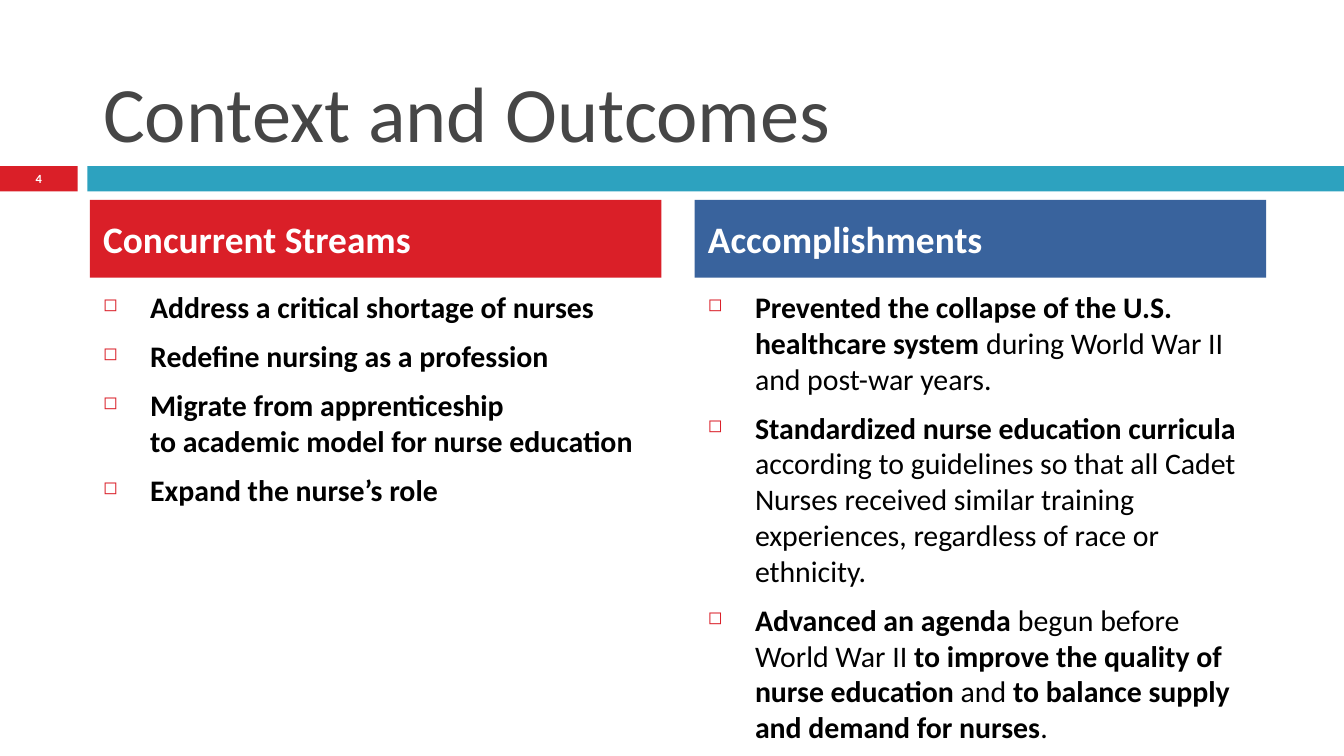
from copy import deepcopy

from lxml.etree import SubElement
from pptx import Presentation
from pptx.dml.color import RGBColor
from pptx.enum.shapes import MSO_SHAPE
from pptx.enum.text import MSO_ANCHOR, PP_ALIGN
from pptx.oxml.ns import qn
from pptx.util import Cm, Pt

RED, TEAL, BLUE = "DA1F28", "2DA2BF", "39639D"
INSETS = {"margin_left": Cm(0.25), "margin_right": Cm(0.25),
          "margin_top": Cm(0.13), "margin_bottom": Cm(0.13), "word_wrap": True}
COLUMN_WIDTH = 10.8

# In each point, "|" switches between bold and regular, starting with bold.
columns = [
    (1.7, RED, "Concurrent Streams", [
        "Address a critical shortage of nurses",
        "Redefine nursing as a profession",
        "Migrate from apprenticeship \nto academic model for nurse education",
        "Expand the nurse’s role",
    ]),
    (13.13, BLUE, "Accomplishments", [
        "Prevented the collapse of the U.S. healthcare system "
        "|during World War II and post-war years.",
        "Standardized nurse education curricula \n|according to guidelines so that all "
        "Cadet Nurses received similar training experiences, regardless of race or ethnicity.",
        "Advanced an agenda |begun before World War II |to improve the quality of nurse "
        "education| and |to balance supply and demand for nurses|.",
    ]),
]


def write(paragraph, text, size, color, bold):
    """Add a formatted run, turning each newline into a line break of the same size."""
    for index, line in enumerate(text.split("\n")):
        if index:
            paragraph._p.add_br().append(deepcopy(run._r.rPr))
        if line:
            run = paragraph.add_run()
            run.text = line
            for name, value in {"name": "Calibri", "size": Pt(size), "bold": bold}.items():
                setattr(run.font, name, value)
            run.font.color.rgb = RGBColor.from_string(color)


def add_block(left, top, width, height, color):
    block = slide.shapes.add_shape(MSO_SHAPE.RECTANGLE, Cm(left), Cm(top), Cm(width), Cm(height))
    block.shadow.inherit = False
    block.fill.solid()
    block.fill.fore_color.rgb = RGBColor.from_string(color)
    block.line.fill.background()
    return block


presentation = Presentation()
presentation.slide_width, presentation.slide_height = Cm(25.4), Cm(14.29)
slide = presentation.slides.add_slide(presentation.slide_layouts[5])

# Title above the divider band
add_block(0, 3.14, 1.47, 0.48, RED)
add_block(1.65, 3.14, 23.75, 0.48, TEAL)

title = slide.shapes.title
title_place = {"left": Cm(1.7), "top": Cm(0.33), "width": Cm(22.66), "height": Cm(2.79)}
for name, value in title_place.items():
    setattr(title, name, value)
for name, value in {**INSETS, "vertical_anchor": MSO_ANCHOR.BOTTOM}.items():
    setattr(title.text_frame, name, value)
heading = title.text_frame.paragraphs[0]
heading.alignment = PP_ALIGN.LEFT
write(heading, "Context and Outcomes", 42, "464646", False)

page_number = slide.shapes.add_textbox(0, Cm(3.12), Cm(1.47), Cm(0.51)).text_frame
for name, value in {**INSETS, "margin_top": 0, "margin_bottom": 0,
                    "vertical_anchor": MSO_ANCHOR.MIDDLE}.items():
    setattr(page_number, name, value)
page_number.paragraphs[0].alignment = PP_ALIGN.CENTER
write(page_number.paragraphs[0], "4", 6.7, "FFFFFF", True)

# Two columns: coloured header and bulleted points
for left, color, header, points in columns:
    banner = add_block(left, 3.78, COLUMN_WIDTH, 1.47, color).text_frame
    for name, value in {**INSETS, "vertical_anchor": MSO_ANCHOR.MIDDLE}.items():
        setattr(banner, name, value)
    banner.paragraphs[0].alignment = PP_ALIGN.LEFT
    write(banner.paragraphs[0], header, 20, "FFFFFF", True)

    body = slide.shapes.add_textbox(Cm(left), Cm(5.33), Cm(COLUMN_WIDTH), Cm(7.32)).text_frame
    for name, value in INSETS.items():
        setattr(body, name, value)
    for index, point in enumerate(points):
        paragraph = body.add_paragraph() if index else body.paragraphs[0]
        if index:
            paragraph.space_before = Pt(7)
        properties = paragraph._p.get_or_add_pPr()
        properties.set("marL", str(Cm(0.89)))
        properties.set("indent", str(-Cm(0.89)))
        bullet_color = SubElement(properties, qn("a:buClr"))
        SubElement(bullet_color, qn("a:srgbClr"), val=RED)
        SubElement(properties, qn("a:buSzPct"), val="60000")
        SubElement(properties, qn("a:buChar"), char="◻")
        for part, text in enumerate(point.split("|")):
            write(paragraph, text, 16, "000000", part % 2 == 0)

presentation.save("out.pptx")
